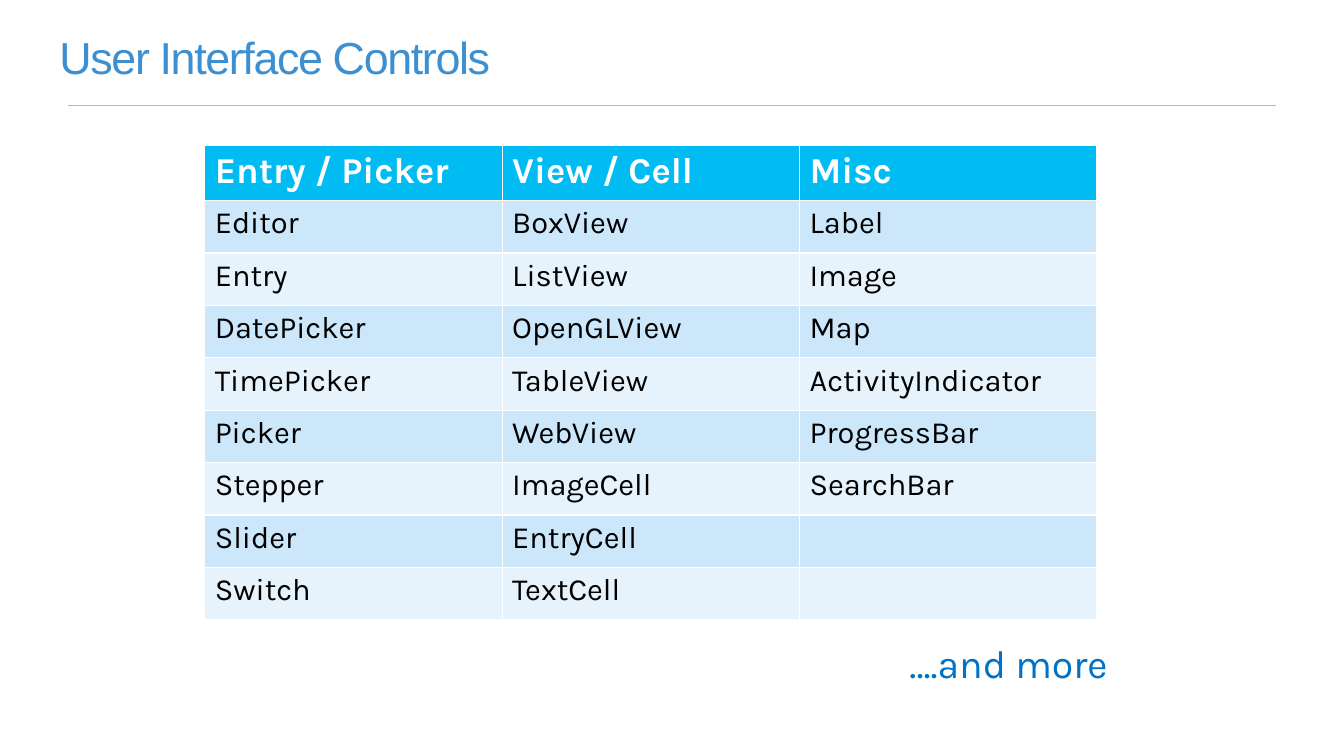
"""Build a slide with a table of user interface controls."""
from itertools import zip_longest

from lxml.etree import SubElement
from pptx import Presentation
from pptx.dml.color import RGBColor
from pptx.enum.shapes import MSO_CONNECTOR
from pptx.enum.text import MSO_AUTO_SIZE
from pptx.oxml.ns import qn
from pptx.util import Inches, Pt

COLORS = {
    "title": "3C90D1",
    "rule": "B7B7B7",
    "head": "00BCF2",
    "odd": "CCE7FA",
    "even": "E7F3FC",
    "white": "FFFFFF",
    "black": "000000",
    "more": "0072C6",
}
GROUPS = {
    "Entry / Picker": ["Editor", "Entry", "DatePicker", "TimePicker",
                       "Picker", "Stepper", "Slider", "Switch"],
    "View / Cell": ["BoxView", "ListView", "OpenGLView", "TableView",
                    "WebView", "ImageCell", "EntryCell", "TextCell"],
    "Misc": ["Label", "Image", "Map", "ActivityIndicator",
             "ProgressBar", "SearchBar"],
}


def write(frame, text, size, color, name="Karla", bold=False):
    frame.text = text
    for run in frame.paragraphs[0].runs:
        run.font.size = Pt(size)
        run.font.name = name
        run.font.bold = bold
        run.font.color.rgb = RGBColor.from_string(COLORS[color])


def add_text(left, top, width, height, wrap):
    box = slide.shapes.add_textbox(
        Inches(left), Inches(top), Inches(width), Inches(height))
    frame = box.text_frame
    frame.word_wrap = wrap
    frame.margin_left = frame.margin_right = 0
    frame.margin_top = frame.margin_bottom = 0
    return frame


deck = Presentation()
deck.slide_width = Inches(13.33)
deck.slide_height = Inches(7.5)
slide = deck.slides.add_slide(deck.slide_layouts[6])

rule = slide.shapes.add_connector(
    MSO_CONNECTOR.STRAIGHT,
    Inches(0.67), Inches(1.05), Inches(12.66), Inches(1.05))
rule.line.color.rgb = RGBColor.from_string(COLORS["rule"])
rule.line.width = Pt(0.75)
SubElement(rule._element.spPr, qn("a:effectLst"))

title = add_text(0.59, 0.35, 12, 0.58, True)
write(title, "User Interface Controls", 32, "title", "Arial")
title.paragraphs[0].line_spacing = 0.9
title.paragraphs[0].runs[0].font._element.set("spc", "-100")

more = add_text(9.02, 6.34, 2.04, 0.94, False)
more.auto_size = MSO_AUTO_SIZE.SHAPE_TO_FIT_TEXT
write(more, "….and more", 28, "more")

rows = [list(GROUPS), *zip_longest(*GROUPS.values(), fillvalue="")]
table = slide.shapes.add_table(
    len(rows), len(GROUPS),
    Inches(2.03), Inches(1.44), Inches(8.84), Inches(4.7)).table
for column in table.columns:
    column.width = Inches(2.95)
for r, row in enumerate(rows):
    head = r == 0
    table.rows[r].height = Inches(0.55 if head else 0.52)
    fill = "head" if head else "odd" if r % 2 else "even"
    for c, text in enumerate(row):
        cell = table.cell(r, c)
        cell.fill.solid()
        cell.fill.fore_color.rgb = RGBColor.from_string(COLORS[fill])
        write(cell.text_frame, text, 26 if head else 22,
              "white" if head else "black", bold=head)

deck.save("out.pptx")
